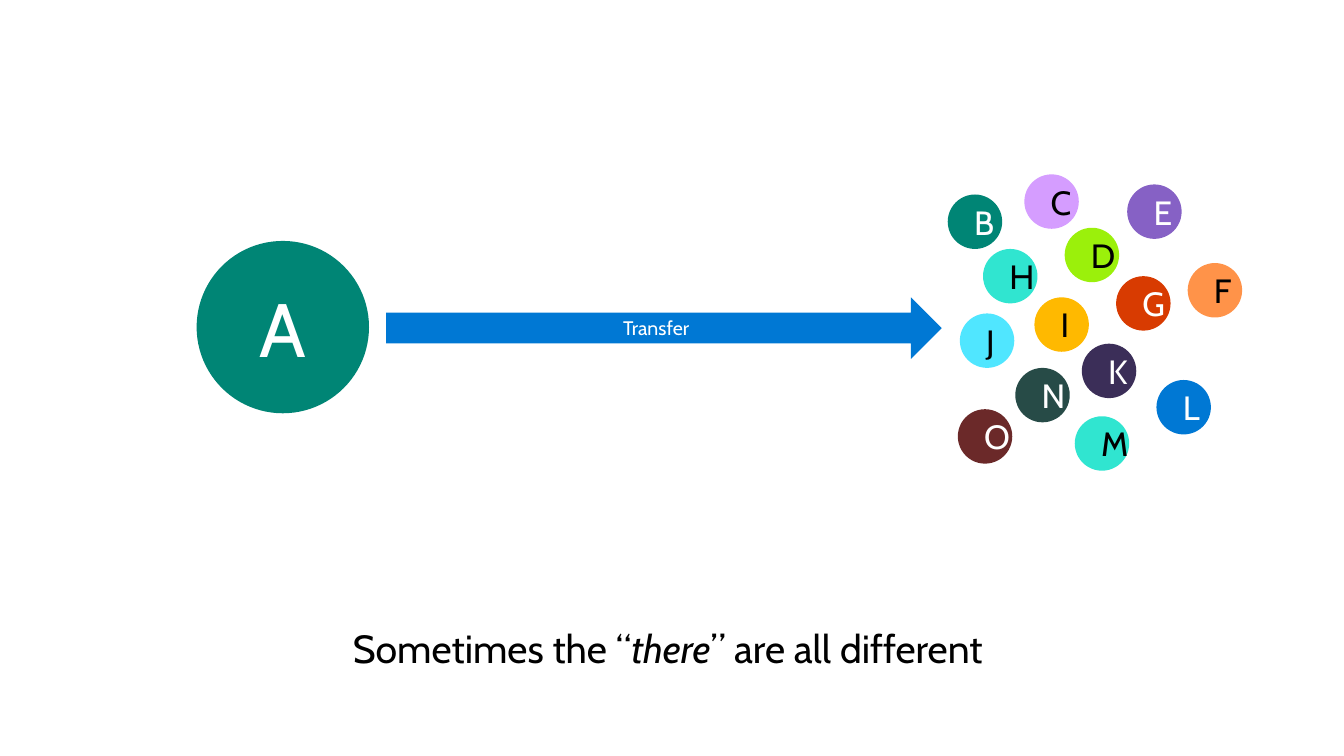
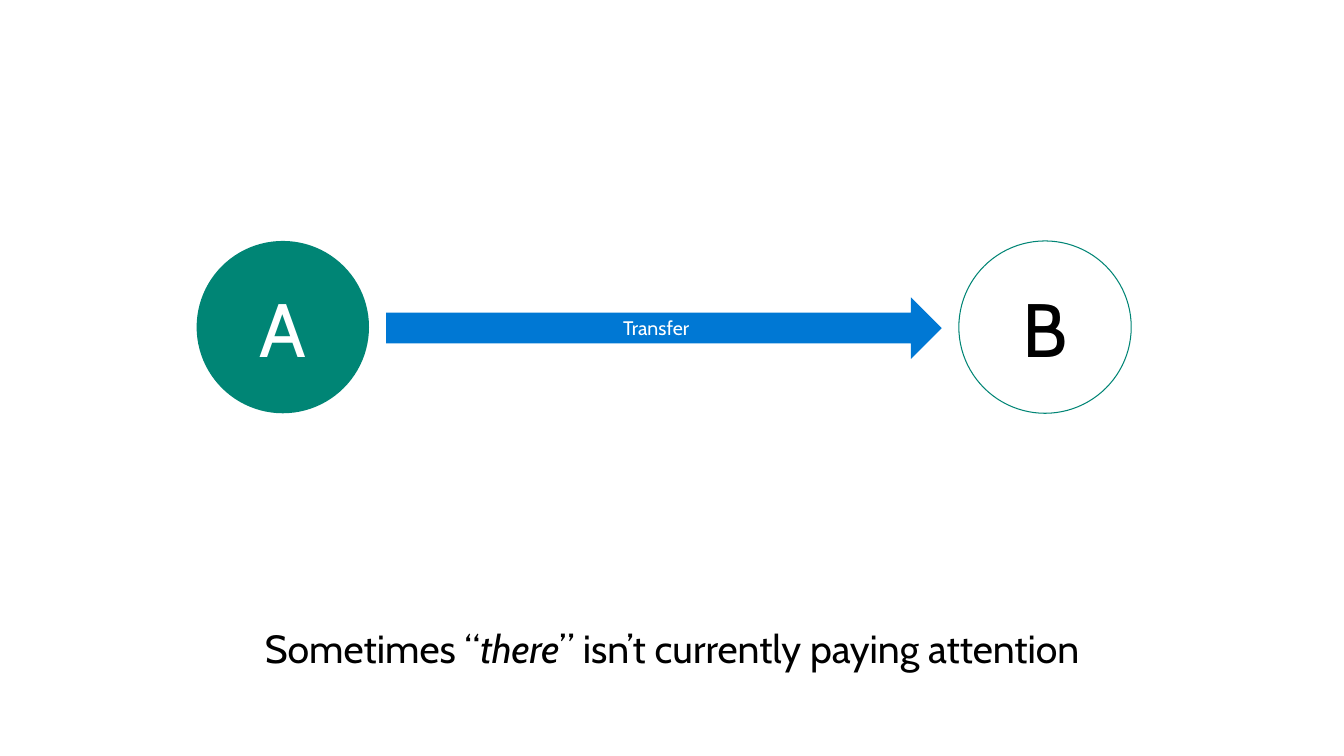
from pptx import Presentation
from pptx.dml.color import RGBColor
from pptx.enum.shapes import MSO_SHAPE
from pptx.enum.text import MSO_ANCHOR, PP_ALIGN
from pptx.util import Inches, Pt

OVAL, ARROW = MSO_SHAPE.OVAL, MSO_SHAPE.RIGHT_ARROW
MIDDLE, CENTER = MSO_ANCHOR.MIDDLE, PP_ALIGN.CENTER

FONT = "Cabin"
BLACK = RGBColor(0x00, 0x00, 0x00)
WHITE = RGBColor(0xFF, 0xFF, 0xFF)
TEAL = RGBColor(0x00, 0x85, 0x75)
BLUE = RGBColor(0x00, 0x78, 0xD4)
AQUA = RGBColor(0x30, 0xE5, 0xD0)
CYAN = RGBColor(0x50, 0xE6, 0xFF)
LILAC = RGBColor(0xD5, 0x9D, 0xFF)
YELLOW = RGBColor(0xFF, 0xB9, 0x00)
LIME = RGBColor(0x9B, 0xF0, 0x0B)
DARK_GREEN = RGBColor(0x27, 0x4B, 0x47)
DARK_PURPLE = RGBColor(0x3B, 0x2E, 0x58)
RED = RGBColor(0xD8, 0x3B, 0x01)
PURPLE = RGBColor(0x86, 0x61, 0xC5)
MAROON = RGBColor(0x6B, 0x29, 0x29)
ORANGE = RGBColor(0xFF, 0x93, 0x49)

# Caption runs: (text, italic)
DIFFERENT = [("Sometimes the “", False), ("there", True),
             ("” are all different ", False)]
INATTENTIVE = [("Sometimes “", False), ("there", True),
               ("” isn’t currently paying attention", False)]

# Small receivers: (letter, left, top, fill, text colour)
RECEIVERS = [
    ("B", 9.4, 1.93, TEAL, WHITE),
    ("C", 10.16, 1.73, LILAC, BLACK),
    ("D", 10.56, 2.26, LIME, BLACK),
    ("E", 11.18, 1.83, PURPLE, WHITE),
    ("F", 11.78, 2.61, ORANGE, BLACK),
    ("G", 11.07, 2.74, RED, WHITE),
    ("H", 9.75, 2.47, AQUA, BLACK),
    ("I", 10.26, 2.95, YELLOW, BLACK),
    ("J", 9.52, 3.11, CYAN, BLACK),
    ("K", 10.73, 3.41, DARK_PURPLE, WHITE),
    ("L", 11.47, 3.77, BLUE, WHITE),
    ("M", 10.66, 4.13, AQUA, BLACK),
    ("N", 10.07, 3.65, DARK_GREEN, WHITE),
    ("O", 9.5, 4.06, MAROON, WHITE),
]

BIG, SMALL = 1.71, 0.54
SENDER_LEFT, RECEIVER_LEFT, BIG_TOP = 1.95, 9.51, 2.39


def add_run(p, text, size, color, italic=False):
    r = p.add_run()
    r.text = text
    r.font.name, r.font.size = FONT, Pt(size)
    r.font.color.rgb = color
    r.font.italic = italic


def set_margins(tf, x, y):
    tf.margin_left = tf.margin_right = Inches(x)
    tf.margin_top = tf.margin_bottom = Inches(y)


def add_label_shape(s, kind, box, text, size, color, fill=None):
    """Add a centred label in a filled shape, or a teal outline without fill."""
    sp = s.shapes.add_shape(kind, *map(Inches, box))
    sp.shadow.inherit = False
    if fill is None:
        sp.fill.background()
        sp.line.color.rgb = TEAL
        sp.line.width = Pt(0.75)
    else:
        sp.fill.solid()
        sp.fill.fore_color.rgb = fill
        sp.line.fill.background()
    tf = sp.text_frame
    tf.word_wrap = True
    tf.vertical_anchor = MIDDLE
    set_margins(tf, 0.2, 0.16)
    p = tf.paragraphs[0]
    p.alignment = CENTER
    add_run(p, text, size, color)


def add_circle(s, letter, left, top, diameter, size, color, fill=None):
    add_label_shape(s, OVAL, (left, top, diameter, diameter),
                    letter, size, color, fill)


def add_transfer_slide(prs, caption):
    """Add a slide with its caption, sender A and the transfer arrow."""
    s = prs.slides.add_slide(prs.slide_layouts[6])
    box = s.shapes.add_textbox(*map(Inches, (0.64, 6.19, 12.05, 0.47)))
    tf = box.text_frame
    tf.word_wrap = True
    set_margins(tf, 0, 0)
    p = tf.paragraphs[0]
    p.alignment = CENTER
    for text, italic in caption:
        add_run(p, text, 28, BLACK, italic)
    add_circle(s, "A", SENDER_LEFT, BIG_TOP, BIG, 54, WHITE, TEAL)
    add_label_shape(s, ARROW, (3.83, 2.95, 5.51, 0.61),
                    "Transfer", 14, WHITE, BLUE)
    return s


def main():
    prs = Presentation()
    prs.slide_width, prs.slide_height = Inches(13.33), Inches(7.5)

    s = add_transfer_slide(prs, DIFFERENT)
    for letter, left, top, fill, color in RECEIVERS:
        add_circle(s, letter, left, top, SMALL, 24, color, fill)

    s = add_transfer_slide(prs, INATTENTIVE)
    add_circle(s, "B", RECEIVER_LEFT, BIG_TOP, BIG, 54, BLACK)

    prs.save("out.pptx")


if __name__ == "__main__":
    main()
